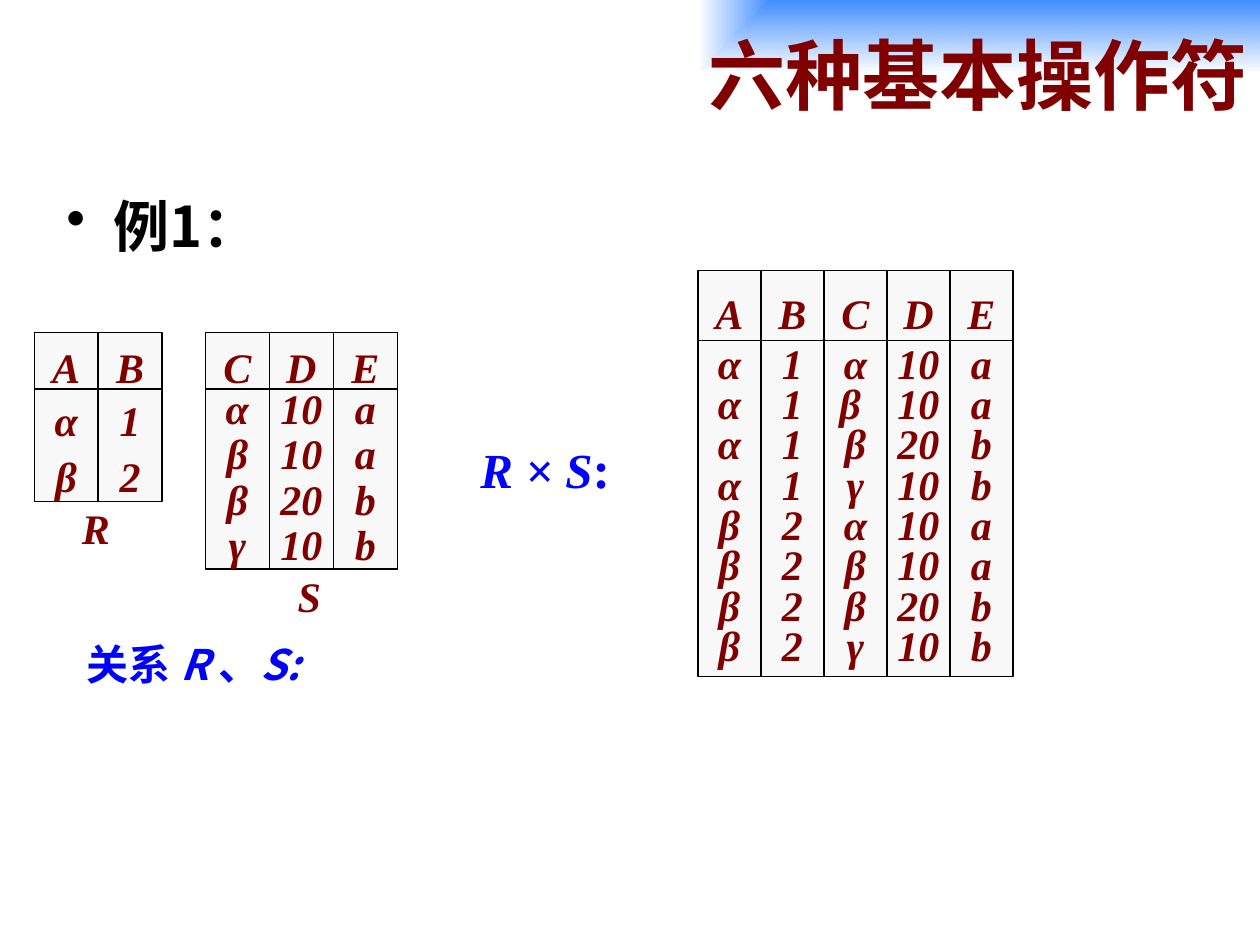
from dataclasses import dataclass
from itertools import product

from lxml.etree import SubElement
from pptx import Presentation
from pptx.dml.color import RGBColor
from pptx.enum.shapes import MSO_SHAPE as Shape
from pptx.enum.text import MSO_ANCHOR as Anchor, MSO_AUTO_SIZE as AutoSize, PP_ALIGN as Align
from pptx.oxml.ns import qn
from pptx.util import Cm, Pt


@dataclass(frozen=True)
class Theme:
    maroon: str = "800000"
    blue: str = "0000FF"
    black: str = "000000"
    white: str = "FFFFFF"
    sky: str = "3F8DFF"
    cell: str = "F8F8F8"
    title_font: str = "Noto Sans CJK SC"
    body_font: str = "Noto Sans CJK JP"
    math_font: str = "Times New Roman"
    title_size: int = 44
    body_size: int = 32
    formula_size: int = 28
    colon_size: int = 30
    cell_size: int = 24


class SlideBuilder:
    def __init__(self, page, theme):
        self.page, self.theme = page, theme

    def style(self, span, font, size, color, italic=False):
        span.font.name, span.font.size = font, Pt(size)
        span.font.bold, span.font.italic = True, italic
        span.font.color.rgb = RGBColor.from_string(color)
        east_asian = SubElement(span.font._element, qn("a:ea"))
        east_asian.set("typeface", font)

    def text(self, shapes, at, spans, align=Align.LEFT, anchor=Anchor.MIDDLE,
             wrap=True, grow=True):
        """Add a one-paragraph box; each span is (text, font, size, color, italic)."""
        box = shapes.add_textbox(*map(Cm, at))
        frame = box.text_frame
        frame.word_wrap, frame.vertical_anchor = wrap, anchor
        frame.auto_size = AutoSize.SHAPE_TO_FIT_TEXT if grow else AutoSize.NONE
        para = frame.paragraphs[0]
        para.alignment = align
        for words, *look in spans:
            span = para.add_run()
            span.text = words
            self.style(span, *look)
        return box

    def title(self, at, words):
        theme = self.theme
        box = self.page.shapes.add_shape(Shape.RECTANGLE, *map(Cm, at))
        box.shadow.inherit = False
        box.line.fill.background()
        # Gradient spreading from the top right corner
        box.fill.gradient()
        for stop, color in zip(box.fill.gradient_stops, (theme.sky, theme.white)):
            stop.color.rgb = RGBColor.from_string(color)
        gradient = box._element.spPr.find(qn("a:gradFill"))
        gradient.remove(gradient.find(qn("a:lin")))
        spread = SubElement(gradient, qn("a:path"), path="rect")
        SubElement(spread, qn("a:fillToRect"), l="100000", b="100000")
        frame = box.text_frame
        frame.text, frame.vertical_anchor = words, Anchor.MIDDLE
        para = frame.paragraphs[0]
        para.alignment = Align.RIGHT
        self.style(para.runs[0], theme.title_font, theme.title_size, theme.maroon)

    def bullet(self, at, words):
        theme = self.theme
        look = (theme.body_font, theme.body_size, theme.black)
        box = self.text(self.page.shapes, at, [(words, *look)],
                        anchor=Anchor.TOP, grow=False)
        properties = box.text_frame.paragraphs[0]._p.get_or_add_pPr()
        properties.set("marL", str(Cm(0.95)))
        properties.set("indent", str(-Cm(0.95)))
        SubElement(properties, qn("a:buChar"), char="•")

    def cell(self, shapes, at, lines, spacing):
        theme = self.theme
        box = shapes.add_shape(Shape.RECTANGLE, *map(Cm, at))
        box.shadow.inherit = False
        box.fill.solid()
        box.fill.fore_color.rgb = RGBColor.from_string(theme.cell)
        box.line.color.rgb = RGBColor.from_string(theme.black)
        box.line.width = Pt(0.75)
        frame = box.text_frame
        frame.text = "\n".join(lines)
        frame.word_wrap, frame.vertical_anchor = False, Anchor.MIDDLE
        for para in frame.paragraphs:
            para.alignment, para.line_spacing = Align.CENTER, spacing
            self.style(para.runs[0], theme.math_font, theme.cell_size, theme.maroon, True)

    def relation(self, shapes, corner, width, head_height, body_drop, body_height,
                 names, rows, spacing):
        """Draw a relation as a header box and a body box for each attribute."""
        left, top = corner
        for index, (name, values) in enumerate(zip(names, zip(*rows))):
            x = left + index * width
            self.cell(shapes, (x, top, width, head_height), [name], 1.0)
            self.cell(shapes, (x, top + body_drop, width, body_height), values, spacing)

    def label(self, shapes, at, words):
        theme = self.theme
        look = (theme.math_font, theme.cell_size, theme.maroon, True)
        self.text(shapes, at, [(words, *look)], Align.CENTER, wrap=False)


def main():
    theme = Theme()
    deck = Presentation()
    deck.slide_width, deck.slide_height = Cm(25.4), Cm(19.05)
    page = deck.slides.add_slide(deck.slide_layouts[6])
    builder = SlideBuilder(page, theme)

    # Heading
    builder.title((2.74, 0, 22.66, 2.97), "六种基本操作符")
    builder.bullet((1.09, 3.73, 22.86, 3.28), "例1：")

    # Relations R and S
    r_rows = [("α", "1"), ("β", "2")]
    s_rows = [("α", "10", "a"), ("β", "10", "a"), ("β", "20", "b"), ("γ", "10", "b")]
    operands = page.shapes.add_group_shape().shapes
    builder.relation(operands, (0.69, 6.71), 1.29, 1.37, 1.13, 2.27, "AB", r_rows, 1.1)
    builder.relation(operands, (4.14, 6.71), 1.29, 1.37, 1.13, 3.63, "CDE", s_rows, 0.9)
    builder.label(operands, (1.4, 10.01, 1.07, 1.27), "R")
    builder.label(operands, (5.74, 11.38, 0.99, 1.27), "S")

    # Cartesian product
    product_rows = [[*r, *s] for r, s in product(r_rows, s_rows)]
    product_rows[1][2] += " "
    result = page.shapes.add_group_shape().shapes
    builder.relation(result, (14.07, 5.46), 1.27, 1.7, 1.4, 6.78, "ABCDE", product_rows, 0.8)

    # Captions
    caption = (theme.body_font, theme.cell_size, theme.blue)
    builder.text(page.shapes, (1.45, 12.75, 4.85, 1.27),
                 [("关系 ", *caption), ("R ", *caption, True),
                  ("、", *caption), ("S:", *caption, True)],
                 Align.RIGHT, Anchor.TOP)
    formula = (theme.math_font, theme.formula_size, theme.blue)
    builder.text(page.shapes, (9.19, 8.66, 3.94, 1.52),
                 [(" ", *formula), ("R × S", *formula, True),
                  (":", theme.math_font, theme.colon_size, theme.blue)])

    deck.save("out.pptx")


if __name__ == "__main__":
    main()
